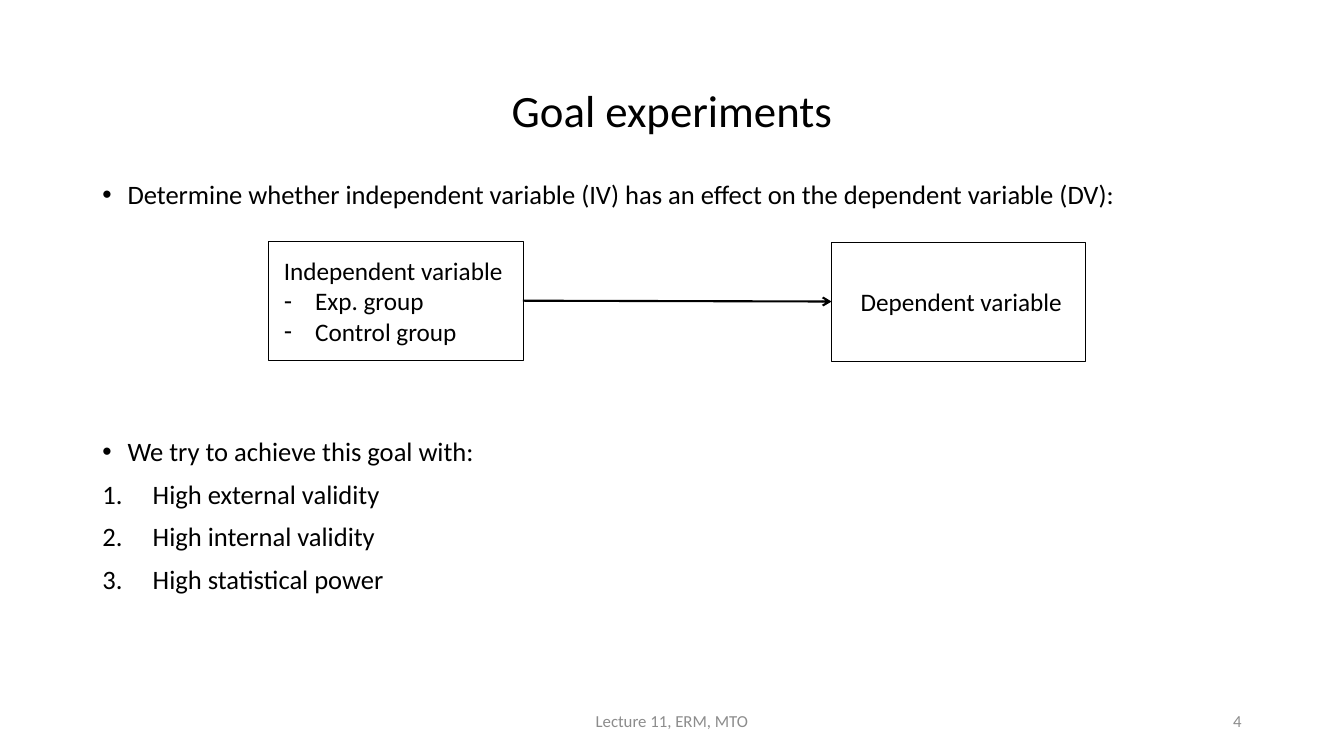
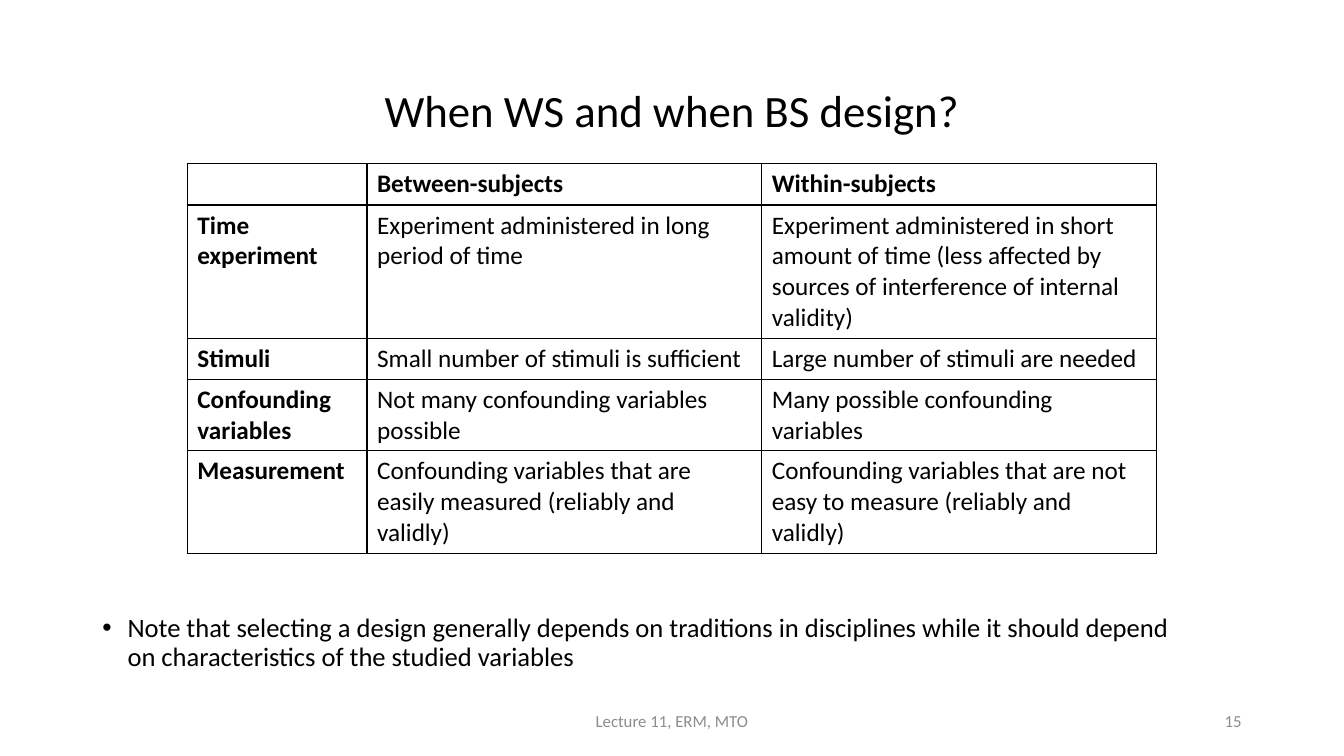
from lxml import etree
from pptx import Presentation
from pptx import util as u
from pptx.dml import color
from pptx.enum import shapes, text
from pptx.oxml import ns

# Grid of 160 columns by 90 rows
WIDE, HIGH = u.Inches(13.33), u.Inches(7.5)
COLS, ROWS = 160, 90

INK, GREY = "000000", "8C8C8C"
MID = text.MSO_ANCHOR.MIDDLE
LEFT, MIDST, RIGHT = (text.PP_ALIGN.LEFT, text.PP_ALIGN.CENTER,
                      text.PP_ALIGN.RIGHT)

# Text styles: run formats
HEAD = {"size": u.Pt(32)}
BODY = {"size": u.Pt(19)}
CELL = {"size": u.Pt(18)}
FOOT = {"size": u.Pt(12)}

# Paragraph formats
TIGHT = {"line_spacing": 0.9, "space_before": u.Pt(10)}

# Marks: bullet tag, its attributes, indent in inches
DOT = ("buChar", {"char": "•"}, 0.25)
DASH = ("buChar", {"char": "-"}, 0.31)
NUM = ("buAutoNum", {"type": "arabicPeriod"}, 0.5)


def rgb(code):
    return color.RGBColor.from_string(code)


def put(item, form):
    for name, value in form.items():
        setattr(item, name, value)


def sub(node, tag, **attrs):
    return etree.SubElement(node, ns.qn("a:" + tag), attrs)


def grid(x, y, w, h):
    return (round(x * WIDE / COLS), round(y * HIGH / ROWS),
            round(w * WIDE / COLS), round(h * HIGH / ROWS))


class Deck:
    def __init__(self):
        self.file = Presentation()
        put(self.file, {"slide_width": WIDE, "slide_height": HIGH})
        self.page = None

    def slide(self, title, number):
        """Start a slide with its title and footer."""
        self.page = self.file.slides.add_slide(self.file.slide_layouts[5])
        head = self.page.shapes.title
        put(head, dict(zip(("left", "top", "width", "height"),
                           grid(11, 4.8, 138, 17.4))))
        self.words(head.text_frame, [(title, None, {"line_spacing": 0.9})],
                   HEAD, MIDST, anchor=MID)
        for line, x, w, side in (("Lecture 11, ERM, MTO", 53, 54, MIDST),
                                 (number, 113, 36, RIGHT)):
            self.text((x, 83.4, w, 4.8), [(line, None, {})], FOOT, side,
                      GREY, MID)

    def words(self, frame, lines, font, side=LEFT, tint=INK,
              anchor=text.MSO_ANCHOR.TOP):
        """Fill a frame with (line, mark, paragraph format) items."""
        put(frame, {"word_wrap": True, "vertical_anchor": anchor,
                    "auto_size": text.MSO_AUTO_SIZE.NONE})
        for i, (line, mark, form) in enumerate(lines):
            par = frame.add_paragraph() if i else frame.paragraphs[0]
            put(par, {"alignment": side, **form})
            if mark:
                self.mark(par, *mark)
            run = par.add_run()
            run.text = line
            put(run.font, {"name": "Calibri", **font})
            run.font.color.rgb = rgb(tint)

    def mark(self, par, tag, attrs, indent):
        props = par._p.get_or_add_pPr()
        step = u.Inches(indent)
        props.set("marL", str(step))
        props.set("indent", str(-step))
        if tag == "buChar":
            sub(props, "buFont", typeface="Arial")
        sub(props, tag, **attrs)

    def text(self, place, lines, font, *style):
        box = self.page.shapes.add_textbox(*grid(*place))
        self.words(box.text_frame, lines, font, *style)

    def box(self, place, lines, side):
        box = self.page.shapes.add_shape(shapes.MSO_SHAPE.RECTANGLE,
                                         *grid(*place))
        box.shadow.inherit = False
        box.fill.background()
        box.line.color.rgb = rgb(INK)
        box.line.width = u.Pt(0.5)
        box.text_frame.margin_left = u.Inches(0.15)
        self.words(box.text_frame, lines, CELL, side, INK, MID)
        return box

    def arrow(self, start, end):
        """Join the right side of one box to the left side of another."""
        line = self.page.shapes.add_connector(
            shapes.MSO_CONNECTOR.STRAIGHT, 0, 0, 0, 0)
        line.begin_connect(start, 3)
        line.end_connect(end, 1)
        line.line.color.rgb = rgb(INK)
        line.line.width = u.Pt(1.5)
        props = line._element.spPr
        sub(props.find(ns.qn("a:ln")), "tailEnd", type="arrow")
        sub(props, "effectLst")

    def table(self, x, y, wide, high, rows):
        """Ruled table with a bold first row and first column."""
        place = grid(x, y, sum(wide), high * len(rows))
        table = self.page.shapes.add_table(len(rows), len(wide),
                                           *place).table
        put(table, {"first_row": False, "horz_banding": False})
        for col, w in zip(table.columns, wide):
            col.width = grid(0, 0, w, 0)[2]
        for r, row in enumerate(rows):
            for c, line in enumerate(row):
                cell = table.cell(r, c)
                self.rule(cell)
                cell.fill.background()
                if line:
                    bold = r == 0 or c == 0
                    self.words(cell.text_frame, [(line, None, {})],
                               {**CELL, "bold": bold})

    def rule(self, cell):
        props = cell._tc.get_or_add_tcPr()
        for edge in "LRTB":
            line = sub(props, "ln" + edge, w=str(u.Pt(1)))
            sub(sub(line, "solidFill"), "srgbClr", val=INK)


def main():
    deck = Deck()

    # Goal of experiments
    deck.slide("Goal experiments", "4")
    gap = {**TIGHT, "space_before": u.Pt(163)}
    deck.text((11, 21, 138, 57), [
        ("Determine whether independent variable (IV) has an effect on "
         "the dependent variable (DV):", DOT, TIGHT),
        ("We try to achieve this goal with:", DOT, gap),
        ("High external validity", NUM, TIGHT),
        ("High internal validity", NUM, TIGHT),
        ("High statistical power", NUM, TIGHT)], BODY)
    cause = deck.box((32, 28.7, 30.25, 14.2), [
        ("Independent variable", None, {}),
        ("Exp. group", DASH, {}),
        ("Control group", DASH, {})], LEFT)
    effect = deck.box((99, 28.8, 30.25, 14.2),
                      [("Dependent variable", None, {})], MIDST)
    deck.arrow(cause, effect)

    # Choice of design
    deck.slide("When WS and when BS design?", "15")
    deck.table(22.3, 19.5, (21.4, 47, 47), 4.9, [
        ("", "Between-subjects", "Within-subjects"),
        ("Time experiment",
         "Experiment administered in long period of time",
         "Experiment administered in short amount of time (less affected "
         "by sources of interference of internal validity)"),
        ("Stimuli", "Small number of stimuli is sufficient",
         "Large number of stimuli are needed"),
        ("Confounding variables",
         "Not many confounding variables possible",
         "Many possible confounding variables"),
        ("Measurement",
         "Confounding variables that are easily measured (reliably and "
         "validly)",
         "Confounding variables that are not easy to measure (reliably "
         "and validly)")])
    deck.text((11, 72.6, 132, 9), [
        ("Note that selecting a design generally depends on traditions in "
         "disciplines while it should depend on characteristics of the "
         "studied variables", DOT, TIGHT)], BODY)

    deck.file.save("out.pptx")


if __name__ == "__main__":
    main()
